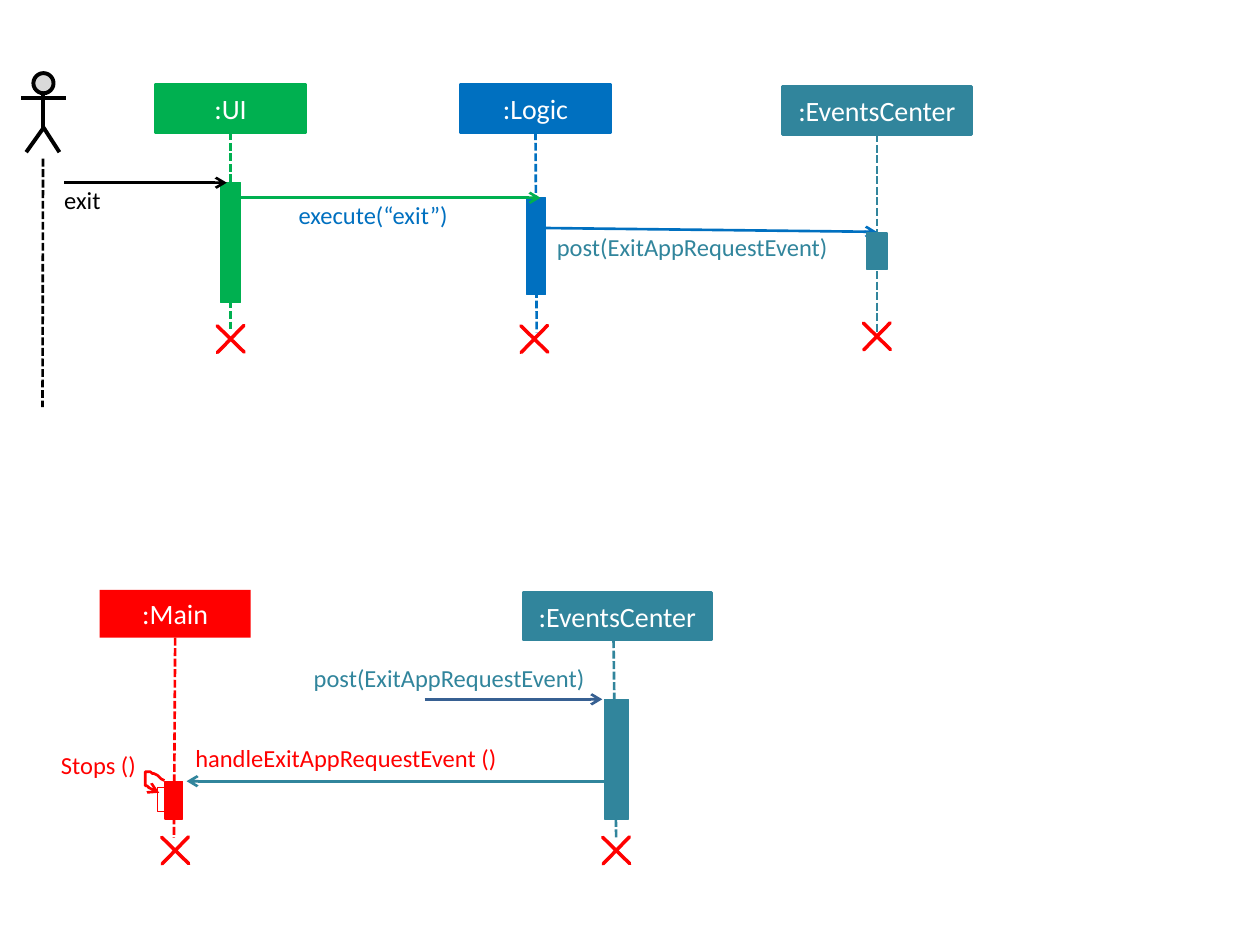
from lxml.etree import SubElement
from pptx import Presentation
from pptx.dml.color import RGBColor
from pptx.enum.dml import MSO_LINE
from pptx.enum.shapes import MSO_CONNECTOR, MSO_SHAPE
from pptx.enum.text import MSO_ANCHOR, PP_ALIGN
from pptx.oxml.ns import qn
from pptx.util import Pt

COLOURS = {
    "ui": "00B050", "logic": "0070C0", "events": "31859C", "main": "FF0000",
    "actor": "000000", "face": "D9D9D9", "post": "376092", "white": "FFFFFF",
}
RGB = {part: RGBColor.from_string(value) for part, value in COLOURS.items()}

prs = Presentation()
prs.slide_width, prs.slide_height = Pt(720), Pt(540)
slide = prs.slides.add_slide(prs.slide_layouts[6])
shapes = slide.shapes


def add_block(kind, box, fill, outline, weight):
    """Add a preset shape; a fill or outline of None is left out."""
    block = shapes.add_shape(kind, *map(Pt, box))
    block.shadow.inherit = False
    for paint, colour in ((block.fill, fill), (block.line.fill, outline)):
        if colour:
            paint.solid()
            paint.fore_color.rgb = RGB[colour]
        else:
            paint.background()
    if outline:
        block.line.width = Pt(weight)
    return block


def add_line(start, end, colour, weight=1.5, dash=None, arrow=False):
    line = shapes.add_connector(MSO_CONNECTOR.STRAIGHT, *map(Pt, start + end))
    line.line.color.rgb = RGB[colour]
    line.line.width = Pt(weight)
    if dash:
        line.line.dash_style = dash
    properties = line._element.spPr
    if arrow:
        SubElement(properties.find(qn("a:ln")), qn("a:tailEnd"), type="arrow")
    SubElement(properties, qn("a:effectLst"))
    return line


# Participants: name, colour, header box, lifeline start and end, cross corner
participants = [
    (":UI", "ui", (88.6, 48.2, 86.4, 27.4), (131.8, 75.6), (131.8, 189.4), (121, 182.9)),
    (":Logic", "logic", (262.8, 48.2, 86.4, 27.4), (306, 77), (306.7, 190), (294.5, 182.9)),
    (":EventsCenter", "events", (447.1, 49.4, 108, 27.4), (501.1, 76.8), (501.1, 190), (490.3, 181.4)),
    (":EventsCenter", "events", (298.8, 338.4, 108, 27.4), (350.6, 365.8), (352.1, 479.5), (341.3, 475.2)),
    (":Main", "main", (56.9, 337, 86.4, 27.4), (100.1, 365.8), (99.4, 478.8), (89.3, 475.2)),
]
for name, colour, box, start, end, cross_corner in participants:
    outline = None if name == ":Main" else colour
    header = add_block(MSO_SHAPE.RECTANGLE, box, colour, outline, 1.5)
    frame = header.text_frame
    frame.vertical_anchor = MSO_ANCHOR.MIDDLE
    paragraph = frame.paragraphs[0]
    paragraph.text = name
    paragraph.alignment = PP_ALIGN.CENTER
    for attribute, value in {"size": Pt(16), "name": "Calibri"}.items():
        setattr(paragraph.font, attribute, value)
    paragraph.font.color.rgb = RGB["white"]

    lifeline = add_line(start, end, colour, dash=MSO_LINE.SQUARE_DOT)
    if abs(start[0] - box[0] - box[2] / 2) < 1:
        lifeline.begin_connect(header, 2)

    cross = add_block(MSO_SHAPE.CROSS, cross_corner + (21.6, 21.6), "main", "main", 2)
    cross.adjustments[0] = 0.5
    cross.rotation = 44.3

# The user, as a stick figure
add_block(MSO_SHAPE.FLOWCHART_CONNECTOR, (19.1, 41.8, 11.5, 11.5), "face", "actor", 2.25)
add_line((24.7, 53.3), (24.7, 73.2), "actor", 2.25)
add_line((12.2, 56.2), (37.8, 56.2), "actor", 2.25)
add_line((24.6, 90.7), (24.3, 232.6), "actor", dash=MSO_LINE.SQUARE_DOT)
legs = [(15.1, 87.3), (24.7, 73), (34.2, 87.3)]

# The call of Main to itself: cubic curves, each from the last point on
loop = [(90.7, 452.9)]
for bend_out, bend_in, end in [
    ((87.1, 451.4), (83.5, 450), (82.8, 447.8)),
    ((82.1, 445.7), (82.8, 440.6), (84.2, 440.6)),
    ((86.4, 440.6), (90, 443.5), (93.6, 446.4)),
]:
    start = loop[-1]
    for step in range(1, 9):
        t = step / 8
        loop.append(tuple(
            (1 - t) ** 3 * a + 3 * t * (1 - t) ** 2 * b + 3 * t * t * (1 - t) * c + t ** 3 * d
            for a, b, c, d in zip(start, bend_out, bend_in, end)
        ))

for points, colour, weight in [(legs, "actor", 2.25), (loop, "main", 1.5)]:
    builder = shapes.build_freeform(*points[0], scale=Pt(1))
    builder.add_line_segments(points[1:], close=False)
    outline = builder.convert_to_shape()
    outline.shadow.inherit = False
    outline.fill.background()
    outline.line.color.rgb = RGB[colour]
    outline.line.width = Pt(weight)
    if points is loop:
        SubElement(outline._element.spPr.find(qn("a:ln")), qn("a:headEnd"), type="arrow")
add_block(MSO_SHAPE.RECTANGLE, (90, 450, 7.9, 13.7), None, "main", 0.75)

# Activation bars of the callers lie under the message arrows
for colour, bar in [
    ("ui", (126, 104.4, 11.5, 68.4)),
    ("logic", (301, 113, 10.8, 55.4)),
]:
    add_block(MSO_SHAPE.RECTANGLE, bar, colour, colour, 0.75)

for colour, start, end in [
    ("actor", (36.7, 104.4), (129.6, 104.4)),
    ("ui", (136.8, 113), (308.9, 113)),
    ("logic", (311, 130.3), (501.1, 132.5)),
    ("post", (242.6, 399.6), (344.2, 399.6)),
    ("events", (347, 446.4), (106.6, 446.4)),
]:
    add_line(start, end, colour, arrow=True)

# Activation bars of the receivers lie over them
for colour, bar in [
    ("events", (495.4, 133.2, 11.5, 20.9)),
    ("events", (345.6, 399.6, 13.7, 68.4)),
    ("main", (94.3, 446.4, 10.1, 21.6)),
]:
    add_block(MSO_SHAPE.RECTANGLE, bar, colour, colour, 0.75)

for message, colour, left, top, width, alignment in [
    ("exit", "actor", 36.7, 105.8, 71.3, PP_ALIGN.LEFT),
    ("execute(“exit”)", "logic", 170.6, 114.5, 118, PP_ALIGN.LEFT),
    ("post(ExitAppRequestEvent)", "events", 318.2, 132.5, 157.7, PP_ALIGN.LEFT),
    ("post(ExitAppRequestEvent)", "events", 179.3, 378.7, 163.4, PP_ALIGN.LEFT),
    ("handleExitAppRequestEvent ()", "main", 111.6, 424.8, 218.2, PP_ALIGN.LEFT),
    ("Stops ()", "main", 15.1, 428.4, 62.6, PP_ALIGN.RIGHT),
]:
    frame = shapes.add_textbox(Pt(left), Pt(top), Pt(width), Pt(17)).text_frame
    frame.word_wrap = True
    for side in ("left", "top", "right", "bottom"):
        setattr(frame, f"margin_{side}", 0)
    paragraph = frame.paragraphs[0]
    paragraph.text = message
    paragraph.alignment = alignment
    for attribute, value in {"size": Pt(14), "name": "Calibri"}.items():
        setattr(paragraph.font, attribute, value)
    paragraph.font.color.rgb = RGB[colour]

prs.save("out.pptx")
